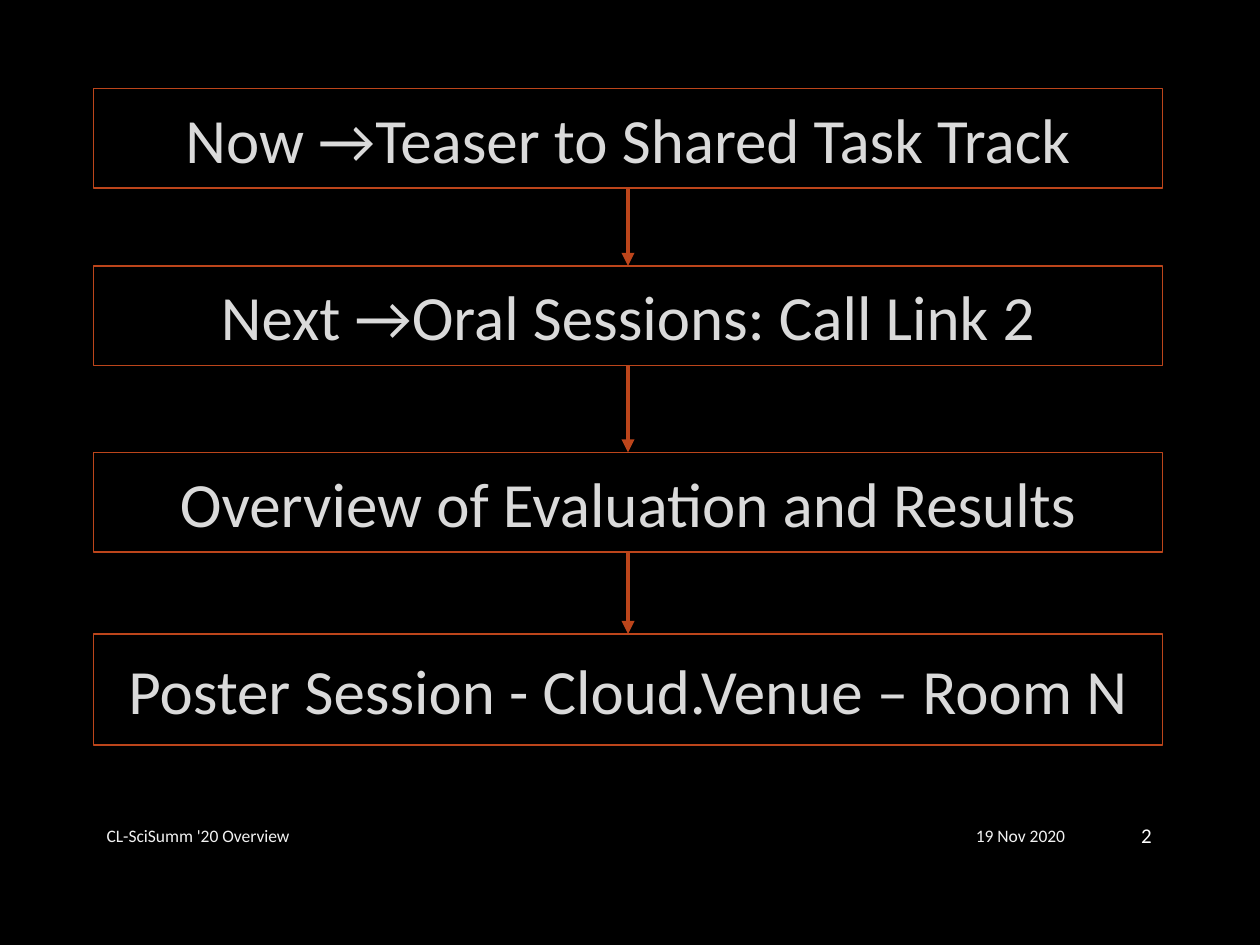
from dataclasses import dataclass
from itertools import pairwise

from lxml import etree
from pptx import Presentation
from pptx.dml.color import RGBColor
from pptx.enum.shapes import MSO_CONNECTOR, MSO_SHAPE
from pptx.enum.text import MSO_ANCHOR, MSO_AUTO_SIZE, PP_ALIGN
from pptx.oxml.ns import qn
from pptx.util import Cm, Pt

LEFT, CENTER, RIGHT = PP_ALIGN.LEFT, PP_ALIGN.CENTER, PP_ALIGN.RIGHT
MIDDLE, NO_AUTOFIT = MSO_ANCHOR.MIDDLE, MSO_AUTO_SIZE.NONE
RECTANGLE, STRAIGHT = MSO_SHAPE.RECTANGLE, MSO_CONNECTOR.STRAIGHT

FONT = "Calibri"
BLACK, RUST, SILVER, PALE, WHITE = "000000", "BC451B", "DADADA", "F2F2F2", "FFFFFF"
STEP_LEFT, STEP_WIDTH = 1.88, 21.56
FOOTER_TOP, FOOTER_HEIGHT = 16.33, 1.02


@dataclass
class Step:
    text: str
    top: float
    height: float = 2.01
    is_title: bool = False

    @property
    def bottom(self) -> float:
        return self.top + self.height


@dataclass
class FooterItem:
    text: str
    left: float
    width: float
    align: PP_ALIGN
    size: int = 10
    color: str = PALE


STEPS = [
    Step("Now →Teaser to Shared Task Track", 1.78),
    Step("Next →Oral Sessions: Call Link 2", 5.36, is_title=True),
    Step("Overview of Evaluation and Results", 9.12),
    Step("Poster Session - Cloud.Venue – Room N", 12.78, 2.24),
]
FOOTER = [
    FooterItem("CL-SciSumm '20 Overview", 1.9, 13.9, LEFT),
    FooterItem("19 Nov 2020", 16, 5.72, RIGHT),
    FooterItem("2", 21.9, 1.57, RIGHT, 12, WHITE),
]


def rgb(color: str) -> RGBColor:
    return RGBColor.from_string(color)


def set_text(shape, text: str, size: int, color: str, align: PP_ALIGN) -> None:
    frame = shape.text_frame
    frame_format = {"word_wrap": True, "auto_size": NO_AUTOFIT, "vertical_anchor": MIDDLE}
    for name, value in frame_format.items():
        setattr(frame, name, value)
    paragraph = frame.paragraphs[0]
    paragraph.alignment = align
    run = paragraph.add_run()
    run.text = text
    for name, value in {"name": FONT, "size": Pt(size), "bold": False}.items():
        setattr(run.font, name, value)
    run.font.color.rgb = rgb(color)


def set_line(shape, width: float) -> None:
    shape.line.color.rgb = rgb(RUST)
    shape.line.width = Pt(width)


def add_step(slide, step: Step) -> None:
    place = {"left": Cm(STEP_LEFT), "top": Cm(step.top),
             "width": Cm(STEP_WIDTH), "height": Cm(step.height)}
    if step.is_title:
        box = slide.shapes.title
        for name, value in place.items():
            setattr(box, name, value)
    else:
        box = slide.shapes.add_shape(RECTANGLE, **place)
        box.shadow.inherit = False
    box.fill.background()
    set_line(box, 0.75)
    set_text(box, step.text, 36, SILVER, CENTER)


def add_arrow(slide, start: Step, end: Step) -> None:
    x = Cm(STEP_LEFT + STEP_WIDTH / 2)
    arrow = slide.shapes.add_connector(STRAIGHT, x, Cm(start.bottom), x, Cm(end.top))
    set_line(arrow, 2.5)
    # Arrowhead at the end, and no theme shadow
    etree.SubElement(arrow.line._get_or_add_ln(), qn("a:tailEnd"), type="triangle")
    etree.SubElement(arrow._element.spPr, qn("a:effectLst"))


def add_footer_item(slide, item: FooterItem) -> None:
    box = slide.shapes.add_textbox(
        Cm(item.left), Cm(FOOTER_TOP), Cm(item.width), Cm(FOOTER_HEIGHT))
    set_text(box, item.text, item.size, item.color, item.align)


presentation = Presentation()
presentation.slide_width, presentation.slide_height = Cm(25.4), Cm(19.05)
slide = presentation.slides.add_slide(presentation.slide_layouts[5])
slide.background.fill.solid()
slide.background.fill.fore_color.rgb = rgb(BLACK)

# Programme steps, joined by arrows
for step in STEPS:
    add_step(slide, step)
for start, end in pairwise(STEPS):
    add_arrow(slide, start, end)

# Footer
for item in FOOTER:
    add_footer_item(slide, item)

presentation.save("out.pptx")
